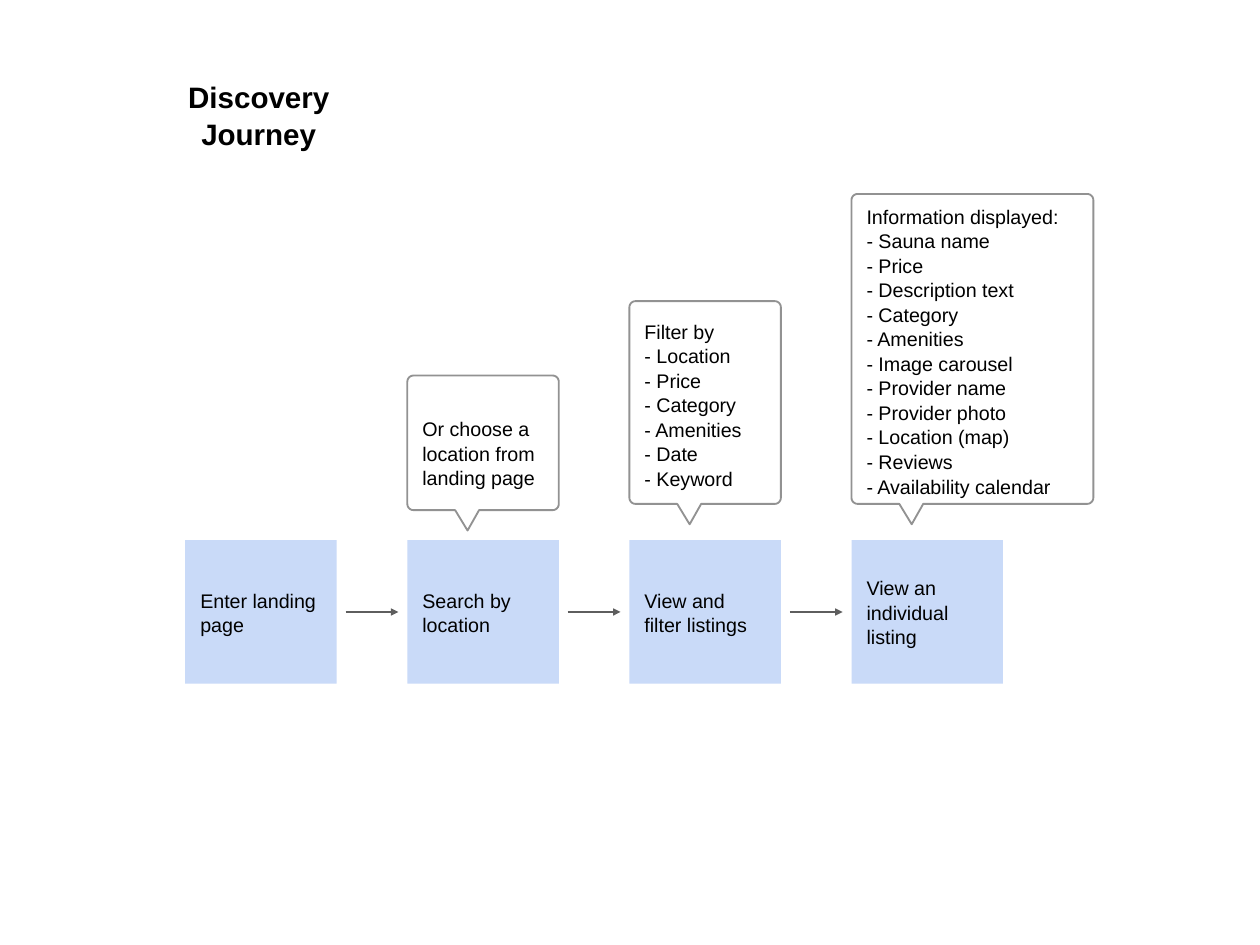
"""Build the discovery journey slide: four steps, arrows and callouts."""
from math import cos, radians, sin

from pptx import Presentation
from pptx.dml.color import RGBColor as RGB
from pptx.enum.shapes import MSO_CONNECTOR as LINE, MSO_SHAPE as SHAPE
from pptx.enum.text import MSO_ANCHOR as ANCHOR, MSO_AUTO_SIZE as FIT, PP_ALIGN as ALIGN
from pptx.oxml.ns import qn
from pptx.util import Inches as In, Pt
from lxml.etree import SubElement as Sub

HUE = {"card": "C9DAF8", "arrow": "5E5E5E", "edge": "929292", "paper": "FFFFFF", "ink": "000000"}
LEFT, TOP, WIDE, HIGH = 2.09, 6.1, 1.71, 1.62
STEP = (9.61 - LEFT) / 3
PAD, ROUND = 0.17, 0.07

STEPS = ["Enter landing page", "Search by location", "View and filter listings",
         "View an individual listing"]
NOTES = [
    (1, 4.24, 5.76, WIDE, PAD, "Or choose a location from landing page"),
    (2, 3.4, 5.69, WIDE, 0.36, "Filter by\n- Location\n- Price\n- Category\n- Amenities\n"
     "- Date\n- Keyword"),
    (3, 2.19, 5.69, 2.73, 0.36, "Information displayed:\n- Sauna name\n- Price\n"
     "- Description text\n- Category\n- Amenities\n- Image carousel\n- Provider name\n"
     "- Provider photo\n- Location (map)\n- Reviews\n- Availability calendar"),
]


def write(shape, text, size=16, bold=False, align=ALIGN.LEFT, pad=PAD, foot=PAD):
    frame = shape.text_frame
    frame.text = text
    frame.word_wrap = True
    frame.auto_size = FIT.NONE
    frame.vertical_anchor = ANCHOR.MIDDLE
    frame.margin_left = frame.margin_right = frame.margin_top = In(pad)
    frame.margin_bottom = In(foot)
    for para in frame.paragraphs:
        para.alignment = align
        para.line_spacing = 1.04
        for run in para.runs:
            font = run.font
            font.name, font.size, font.bold = "Arial", Pt(size), bold
            font.color.rgb = RGB.from_string(HUE["ink"])


def paint(shape, fill, edge=None):
    shape.shadow.inherit = False
    shape.fill.solid()
    shape.fill.fore_color.rgb = RGB.from_string(HUE[fill])
    if edge:
        shape.line.color.rgb = RGB.from_string(HUE[edge])
        shape.line.width = Pt(1.5)
    else:
        shape.line.fill.background()


deck = Presentation()
deck.slide_width, deck.slide_height = In(14.22), In(10.67)
slide = deck.slides.add_slide(deck.slide_layouts[5])
shapes = slide.shapes

title = shapes.title
title.left, title.top, title.width, title.height = In(1.38), In(1.04), In(3.08), In(0.5)
write(title, "Discovery Journey", 24, True, ALIGN.CENTER, 0.06, 0.06)

for col, text in enumerate(STEPS):
    x = LEFT + col * STEP
    card = shapes.add_shape(SHAPE.RECTANGLE, In(x), In(TOP), In(WIDE), In(HIGH))
    paint(card, "card")
    write(card, text)
    if col < len(STEPS) - 1:
        y = In(TOP + HIGH / 2)
        arrow = shapes.add_connector(LINE.STRAIGHT, In(x + WIDE + 0.1), y, In(x + STEP - 0.1), y)
        arrow.line.color.rgb = RGB.from_string(HUE["arrow"])
        arrow.line.width = Pt(2)
        props = arrow.element.spPr
        Sub(props.find(qn("a:ln")), qn("a:tailEnd"), type="triangle")
        Sub(props, qn("a:effectLst"))

for col, top, base, wide, foot, text in NOTES:
    x = LEFT + col * STEP
    west, east = x + ROUND, x + wide - ROUND
    north, south = top + ROUND, base - ROUND
    dots = []
    for cx, cy, turn in [(west, north, 180), (east, north, 270), (east, south, 0), (west, south, 90)]:
        if turn == 90:
            dots += [(x + 0.81, base), (x + 0.68, base + 0.23), (x + 0.54, base)]
        for part in range(0, 91, 15):
            angle = radians(turn + part)
            dots.append((cx + ROUND * cos(angle), cy + ROUND * sin(angle)))
    dots = [(In(a), In(b)) for a, b in dots]
    pen = shapes.build_freeform(*dots[0], scale=1.0)
    pen.add_line_segments(dots[1:], close=True)
    note = pen.convert_to_shape()
    paint(note, "paper", "edge")
    write(note, text, foot=foot)

deck.save("out.pptx")
